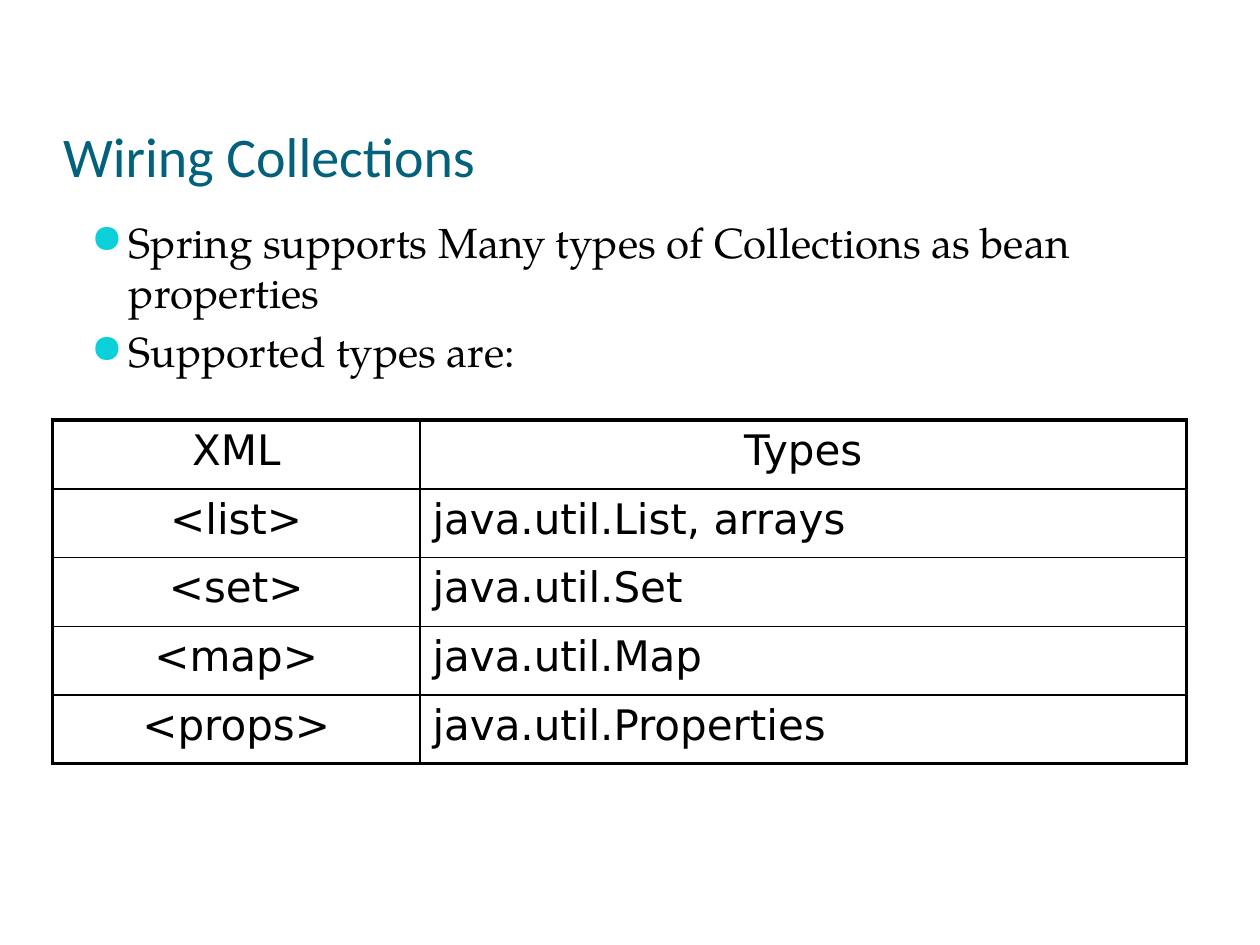
from lxml import etree
from pptx import Presentation
from pptx import util as u
from pptx.dml.color import RGBColor
from pptx.enum import text as t
from pptx.oxml.ns import qn

COLORS = {"title": "04617B", "text": "000000", "bullet": "0BD0D9", "border": "000000"}
BULLETS = [
    "Spring supports Many types of Collections as bean properties",
    "Supported types are:",
]
ROWS = [
    ("XML", "Types"),
    ("<list>", "java.util.List, arrays"),
    ("<set>", "java.util.Set"),
    ("<map>", "java.util.Map"),
    ("<props>", "java.util.Properties"),
]
COLUMN_WIDTHS = (210, 438)
ROW_HEIGHT = 39.3
THIN, THICK = 1, 2.25


def write_text(paragraph, content, font, size=24, color="text", align=t.PP_ALIGN.LEFT, before=0):
    paragraph.alignment = align
    paragraph.space_before = u.Pt(before)
    run = paragraph.add_run()
    run.text = content
    run.font.name = font
    run.font.size = u.Pt(size)
    run.font.color.rgb = RGBColor.from_string(COLORS[color])


def add_text_box(slide, left, top, width, height):
    frame = slide.shapes.add_textbox(*map(u.Pt, (left, top, width, height))).text_frame
    frame.word_wrap = True
    return frame


def add_color(parent, color):
    etree.SubElement(parent, qn("a:srgbClr"), val=COLORS[color])


def add_bullet(paragraph, indent):
    properties = paragraph._p.get_or_add_pPr()
    properties.set("marL", str(u.Pt(indent)))
    properties.set("indent", str(-u.Pt(indent)))
    add_color(etree.SubElement(properties, qn("a:buClr")), "bullet")
    etree.SubElement(properties, qn("a:buSzPct"), val="95000")
    etree.SubElement(properties, qn("a:buChar"), char="●")


def set_borders(cell, **widths):
    properties = cell._tc.get_or_add_tcPr()
    for side, width in widths.items():
        line = etree.SubElement(properties, qn(f"a:ln{side}"), w=str(u.Pt(width)))
        add_color(etree.SubElement(line, qn("a:solidFill")), "border")


def add_title(slide):
    frame = add_text_box(slide, 36, 36, 630, 72)
    frame.margin_left = frame.margin_right = frame.margin_bottom = 0
    frame.vertical_anchor = t.MSO_ANCHOR.BOTTOM
    write_text(frame.paragraphs[0], "Wiring Collections", "Calibri", size=32, color="title")


def add_bullet_list(slide):
    frame = add_text_box(slide, 45, 120, 630, 178)
    for index, content in enumerate(BULLETS):
        paragraph = frame.add_paragraph() if index else frame.paragraphs[0]
        write_text(paragraph, content, "TeX Gyre Pagella", before=4.8)
        add_bullet(paragraph, 21.6)


def add_types_table(slide):
    last_row, last_column = len(ROWS) - 1, len(COLUMN_WIDTHS) - 1
    table = slide.shapes.add_table(
        len(ROWS), len(COLUMN_WIDTHS), u.Pt(30), u.Pt(240),
        u.Pt(sum(COLUMN_WIDTHS)), u.Pt(ROW_HEIGHT * len(ROWS)),
    ).table
    table.first_row = table.horz_banding = False
    for column, width in zip(table.columns, COLUMN_WIDTHS):
        column.width = u.Pt(width)
    for row_index, values in enumerate(ROWS):
        table.rows[row_index].height = u.Pt(ROW_HEIGHT)
        for column_index, content in enumerate(values):
            cell = table.cell(row_index, column_index)
            centered = row_index == 0 or column_index == 0
            align = t.PP_ALIGN.CENTER if centered else t.PP_ALIGN.LEFT
            write_text(cell.text_frame.paragraphs[0], content, "DejaVu Sans",
                       align=align, before=4.8)
            set_borders(
                cell,
                L=THICK if column_index == 0 else THIN,
                R=THICK if column_index == last_column else THIN,
                T=THICK if row_index == 0 else THIN,
                B=THICK if row_index == last_row else THIN,
            )
            cell.fill.background()


def main():
    presentation = Presentation()
    presentation.slide_width, presentation.slide_height = u.Pt(720), u.Pt(540)
    slide = presentation.slides.add_slide(presentation.slide_layouts[6])
    add_title(slide)
    add_bullet_list(slide)
    add_types_table(slide)
    presentation.save("out.pptx")


if __name__ == "__main__":
    main()
